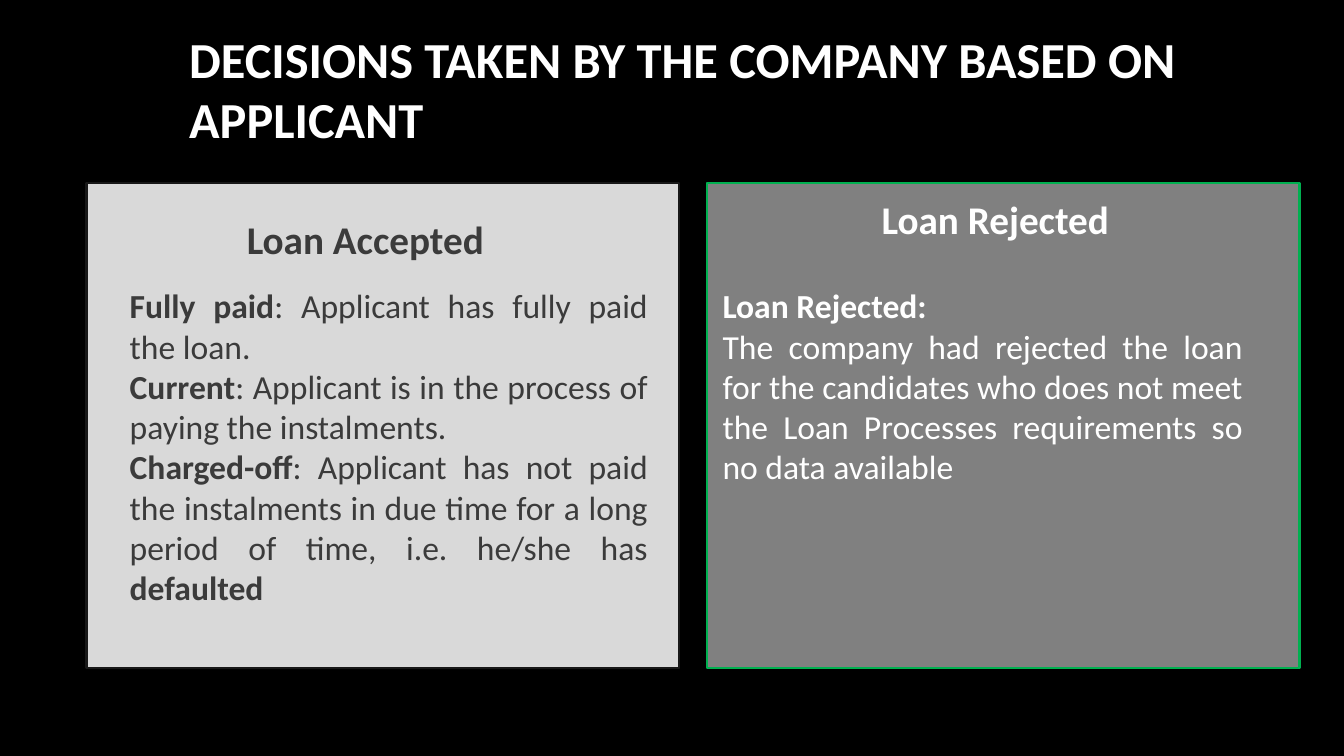
from pptx import Presentation
from pptx.dml.color import RGBColor
from pptx.enum.shapes import MSO_SHAPE
from pptx.enum.text import MSO_ANCHOR, MSO_AUTO_SIZE, PP_ALIGN
from pptx.util import Cm, Pt

RECTANGLE = MSO_SHAPE.RECTANGLE
TOP, MIDDLE = MSO_ANCHOR.TOP, MSO_ANCHOR.MIDDLE
LEFT, JUSTIFY = PP_ALIGN.LEFT, PP_ALIGN.JUSTIFY
FIXED, GROW = MSO_AUTO_SIZE.NONE, MSO_AUTO_SIZE.SHAPE_TO_FIT_TEXT

COLORS = {
    "background": "000000",
    "white": "FFFFFF",
    "charcoal": "3B3B3B",
    "light_gray": "D9D9D9",
    "gray": "808080",
    "black_edge": "181818",
    "green_edge": "00B050",
}
CARD_TOP, CARD_WIDTH, CARD_HEIGHT = 4.62, 14.94, 12.22
BODY_TOP = 7.06

ACCEPTED = [
    [("Fully paid", True), (": Applicant has fully paid the loan.", False)],
    [("Current", True),
     (": Applicant is in the process of paying the instalments.", False)],
    [("Charged-off", True),
     (": Applicant has not paid the instalments in due time for a long "
      "period of time, i.e. he/she has ", False),
     ("defaulted", True)],
]
REJECTED = [
    [("Loan Rejected:", True)],
    [("The company had rejected the loan for the candidates who does not meet "
      "the Loan Processes requirements so no data available", False)],
]


def color(key):
    """Return the named palette colour."""
    return RGBColor.from_string(COLORS[key])


def add_text(slide, box, paragraphs, size, ink, align=LEFT, anchor=TOP, fit=GROW):
    """Add a text box whose paragraphs are lists of (words, bold) runs."""
    frame = slide.shapes.add_textbox(*map(Cm, box)).text_frame
    frame_format = {"word_wrap": True, "auto_size": fit, "vertical_anchor": anchor}
    for attribute, value in frame_format.items():
        setattr(frame, attribute, value)
    for index, runs in enumerate(paragraphs):
        paragraph = frame.add_paragraph() if index else frame.paragraphs[0]
        paragraph.alignment = align
        for words, bold in runs:
            run = paragraph.add_run()
            run.text = words
            run_format = {"name": "Calibri", "size": Pt(size), "bold": bold}
            for attribute, value in run_format.items():
                setattr(run.font, attribute, value)
            run.font.color.rgb = color(ink)


def add_card(slide, left, fill, edge):
    """Add the filled, outlined panel behind one decision."""
    card = slide.shapes.add_shape(
        RECTANGLE, Cm(left), Cm(CARD_TOP), Cm(CARD_WIDTH), Cm(CARD_HEIGHT))
    card.shadow.inherit = False
    card.fill.solid()
    card.fill.fore_color.rgb = color(fill)
    card.line.color.rgb = color(edge)
    card.line.width = Pt(1.5)


def add_decision(slide, card, heading, heading_box, body, body_box, ink):
    """Add a card with its heading and justified explanation."""
    add_card(slide, *card)
    add_text(slide, heading_box, [[(heading, True)]], 28, ink)
    add_text(slide, body_box, body, 24, ink, JUSTIFY)


def main():
    """Build the loan decisions slide."""
    deck = Presentation()
    deck.slide_width, deck.slide_height = Cm(33.87), Cm(19.05)
    slide = deck.slides.add_slide(deck.slide_layouts[6])
    slide.background.fill.solid()
    slide.background.fill.fore_color.rgb = color("background")

    title = "DECISIONS TAKEN BY THE COMPANY BASED ON APPLICANT"
    add_text(slide, (4.52, 0.89, 27.94, 2.67), [[(title, True)]], 36, "white",
             anchor=MIDDLE, fit=FIXED)
    add_decision(slide, (2.18, "light_gray", "black_edge"),
                 "Loan Accepted", (5.97, 5.31, 7.37, 1.45),
                 ACCEPTED, (3.02, BODY_TOP, 13.56, 9.25), "charcoal")
    add_decision(slide, (17.81, "gray", "green_edge"),
                 "Loan Rejected", (21.97, 4.8, 6.58, 1.45),
                 REJECTED, (17.96, BODY_TOP, 13.61, 5.38), "white")
    deck.save("out.pptx")


if __name__ == "__main__":
    main()
